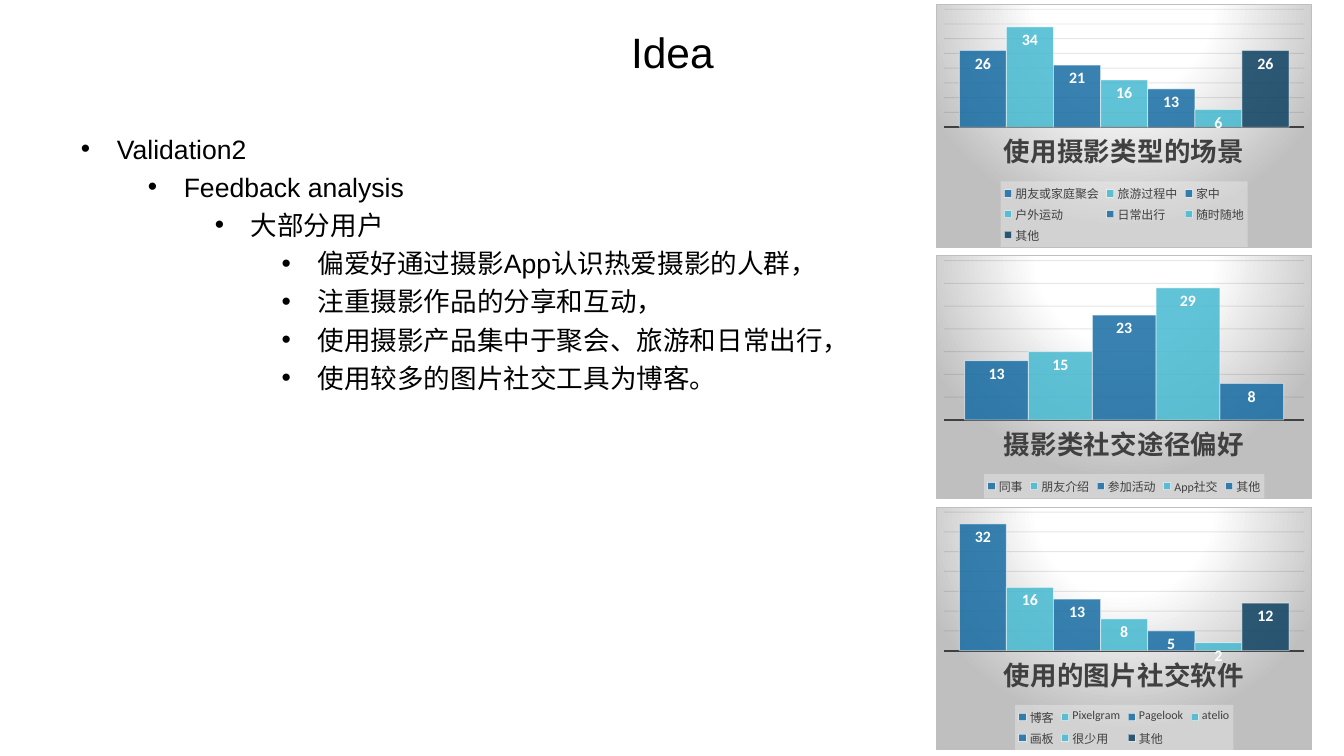
import pptx
import pptx.chart.data
import pptx.dml.color
import pptx.enum.chart
import pptx.enum.text
import pptx.oxml
import pptx.oxml.ns
import pptx.util

Pt = pptx.util.Pt

COLORS = {
    "text": "000000",
    "white": "FFFFFF",
    "edge": "BFBFBF",
    "axis": "404040",
    "grid": "0D0D0D",
    "legend": "F2F2F2",
    "blue": "166CA3",
    "cyan": "46B9D0",
    "navy": "0D4162",
}

FINDINGS = [
    (0, "Validation2"),
    (1, "Feedback analysis"),
    (2, "大部分用户"),
    (3, "偏爱好通过摄影App认识热爱摄影的人群，"),
    (3, "注重摄影作品的分享和互动，"),
    (3, "使用摄影产品集中于聚会、旅游和日常出行，"),
    (3, "使用较多的图片社交工具为博客。"),
]

# Survey question, top of the value axis, answers
SURVEYS = [
    ("使用摄影类型的场景", 40, {
        "朋友或家庭聚会": 26, "旅游过程中": 34, "家中": 21, "户外运动": 16,
        "日常出行": 13, "随时随地": 6, "其他": 26}),
    ("摄影类社交途径偏好", 35, {
        "同事": 13, "朋友介绍": 15, "参加活动": 23, "App社交": 29, "其他": 8}),
    ("使用的图片社交软件", 35, {
        "博客": 32, "Pixelgram": 16, "Pagelook": 13, "atelio": 8,
        "画板": 5, "很少用": 2, "其他": 12}),
]


def rgb(name):
    return pptx.dml.color.RGBColor.from_string(COLORS[name])


def format_font(font, size, color, face="Calibri", bold=False):
    font.name, font.size, font.bold = face, Pt(size), bold
    font.color.rgb = rgb(color)


def format_line(line, color, width):
    line.color.rgb = rgb(color)
    line.width = Pt(width)


def set_alpha(colors, percent):
    """Make the given srgbClr elements partly transparent."""
    for color in colors:
        alpha = color.makeelement(pptx.oxml.ns.qn("a:alpha"), {"val": str(percent * 1000)})
        color.append(alpha)


def chart_style(content):
    """Build a c:spPr element around the given DrawingML."""
    return pptx.oxml.parse_xml(
        f'<c:spPr {pptx.oxml.ns.nsdecls("c", "a")}>{content}</c:spPr>')


def spotlight():
    """White glow from above that fades to the grey of the border."""
    stops = "".join(
        f'<a:gs pos="{pos * 1000}"><a:srgbClr val="{COLORS[name]}"/></a:gs>'
        for pos, name in [(0, "white"), (39, "white"), (100, "edge")])
    return chart_style(
        f'<a:gradFill><a:gsLst>{stops}</a:gsLst><a:path path="circle">'
        '<a:fillToRect l="50000" t="-80000" r="50000" b="180000"/></a:path></a:gradFill>'
        f'<a:ln w="{Pt(0.75)}"><a:solidFill><a:srgbClr val="{COLORS["edge"]}"/>'
        '</a:solidFill></a:ln>')


class IdeaSlide:
    def __init__(self, presentation):
        self.face = "Arial"
        self.slide = presentation.slides.add_slide(presentation.slide_layouts[5])

    def add_text(self, paragraph, text, size=20, color="text", align=None):
        run = paragraph.add_run()
        run.text = text
        format_font(run.font, size, color, self.face)
        paragraph.alignment = align

    def fit_frame(self, frame):
        frame.margin_left = frame.margin_right = frame.margin_top = frame.margin_bottom = 0
        frame.word_wrap = True
        frame.auto_size = pptx.enum.text.MSO_AUTO_SIZE.SHAPE_TO_FIT_TEXT

    def title(self, text, left, top, width, height):
        heading = self.slide.shapes.title
        heading.left, heading.top = Pt(left), Pt(top)
        heading.width, heading.height = Pt(width), Pt(height)
        frame = heading.text_frame
        self.fit_frame(frame)
        frame.vertical_anchor = pptx.enum.text.MSO_ANCHOR.MIDDLE
        self.add_text(frame.paragraphs[0], text, size=32, align=pptx.enum.text.PP_ALIGN.CENTER)

    def outline(self, items, left, top, width, height):
        box = self.slide.shapes.add_textbox(Pt(left), Pt(top), Pt(width), Pt(height))
        frame = box.text_frame
        self.fit_frame(frame)
        for index, (level, text) in enumerate(items):
            paragraph = frame.add_paragraph() if index else frame.paragraphs[0]
            paragraph.level = level
            paragraph.line_spacing = 1.2
            properties = paragraph._p.get_or_add_pPr()
            properties.set("marL", str(Pt(27 + 50.4 * level)))
            properties.set("indent", str(Pt(-27)))
            for tag, key, value in [("a:buFont", "typeface", "Arial"), ("a:buChar", "char", "•")]:
                properties.append(
                    properties.makeelement(pptx.oxml.ns.qn(tag), {key: value}))
            self.add_text(paragraph, text)

    def survey_chart(self, question, ceiling, answers, left, top, width, height):
        data = pptx.chart.data.CategoryChartData()
        data.categories = [question]
        for answer, votes in answers.items():
            data.add_series(answer, [votes])
        chart = self.slide.shapes.add_chart(
            pptx.enum.chart.XL_CHART_TYPE.COLUMN_CLUSTERED,
            Pt(left), Pt(top), Pt(width), Pt(height), data).chart
        chart.has_title = False
        format_font(chart.font, 10, "text")
        self.format_axes(chart, ceiling)
        self.format_columns(chart.plots[0])
        self.format_legend(chart)

        root = chart._chartSpace
        set_alpha(root.xpath(".//c:ser/c:spPr/a:solidFill/a:srgbClr"), 85)
        set_alpha(root.xpath(".//c:ser/c:spPr/a:ln//a:srgbClr"), 50)
        set_alpha(root.xpath(".//c:majorGridlines//a:srgbClr"), 10)
        root.xpath("c:chart")[0].addnext(spotlight())
        legend_back = chart_style(
            f'<a:solidFill><a:srgbClr val="{COLORS["legend"]}"/></a:solidFill>')
        set_alpha(legend_back.xpath(".//a:srgbClr"), 39)
        root.xpath(".//c:legend/c:overlay")[0].addnext(legend_back)

    def format_axes(self, chart, ceiling):
        questions, votes = chart.category_axis, chart.value_axis
        questions.major_tick_mark = pptx.enum.chart.XL_TICK_MARK.NONE
        format_font(questions.tick_labels.font, 20, "axis", bold=True)
        format_line(questions.format.line, "axis", 1.5)
        votes.visible = False
        votes.minimum_scale, votes.maximum_scale, votes.major_unit = 0, ceiling, 5
        format_line(votes.major_gridlines.format.line, "grid", 0.75)

    def format_columns(self, plot):
        plot.gap_width, plot.overlap = 65, 0
        plot.vary_by_categories = False
        for index, column in enumerate(plot.series):
            color = "navy" if index == 6 else ("blue", "cyan")[index % 2]
            column.format.fill.solid()
            column.format.fill.fore_color.rgb = rgb(color)
            format_line(column.format.line, "white", 0.75)
            labels = column.data_labels
            labels.show_value = True
            labels.position = pptx.enum.chart.XL_LABEL_POSITION.INSIDE_END
            format_font(labels.font, 12, "white", bold=True)

    def format_legend(self, chart):
        chart.has_legend = True
        chart.legend.position = pptx.enum.chart.XL_LEGEND_POSITION.BOTTOM
        chart.legend.include_in_layout = False
        format_font(chart.legend.font, 9, "axis")


def main():
    presentation = pptx.Presentation()
    presentation.slide_width, presentation.slide_height = Pt(1012.3), Pt(569.5)
    idea = IdeaSlide(presentation)
    idea.title("Idea", 351, 19, 311, 39)
    idea.outline(FINDINGS, 61, 95, 891, 204)
    for row, survey in enumerate(SURVEYS):
        idea.survey_chart(*survey, left=705, top=3 + 189.4 * row, width=283.5, height=183.5)
    presentation.save("out.pptx")


if __name__ == "__main__":
    main()
